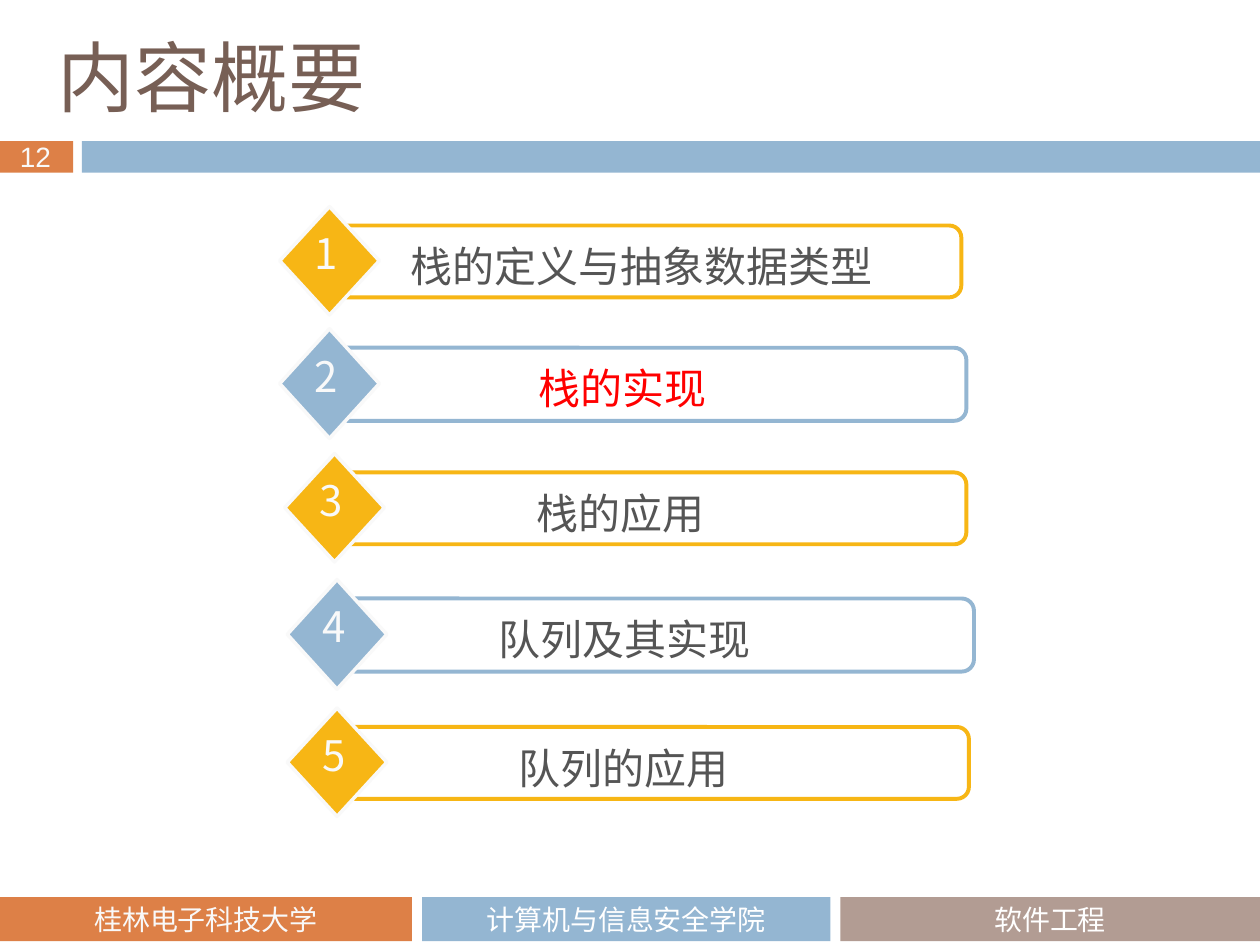
from dataclasses import dataclass

from lxml import etree
from pptx import Presentation
from pptx.dml.color import RGBColor
from pptx.enum.shapes import MSO_SHAPE
from pptx.enum.text import MSO_ANCHOR, MSO_AUTO_SIZE, PP_ALIGN
from pptx.oxml.ns import qn
from pptx.util import Inches, Pt

RECT, ROUND, DIAMOND = MSO_SHAPE.RECTANGLE, MSO_SHAPE.ROUNDED_RECTANGLE, MSO_SHAPE.DIAMOND
TOP, MIDDLE = MSO_ANCHOR.TOP, MSO_ANCHOR.MIDDLE
LEFT, CENTER = PP_ALIGN.LEFT, PP_ALIGN.CENTER
GROW, FIXED = MSO_AUTO_SIZE.SHAPE_TO_FIT_TEXT, MSO_AUTO_SIZE.NONE
COLS, ROWS = 100, 75  # slide grid


@dataclass(frozen=True)
class Theme:
    orange: str = "DD8047"
    blue: str = "94B6D2"
    taupe: str = "B29C93"
    gold: str = "F7B615"
    brown: str = "775F55"
    gray: str = "555555"
    red: str = "FF0000"
    white: str = "FFFFFF"
    pale: str = "F9F9F9"
    title_size: int = 44
    item_size: int = 24
    small_size: int = 16
    border: float = 2.25
    outline: float = 2


@dataclass(frozen=True)
class Box:
    """Position and size in grid columns and rows."""
    col: float
    row: float
    cols: float
    rows: float


@dataclass(frozen=True)
class Style:
    size: int
    font: str
    color: str
    align: PP_ALIGN = CENTER
    anchor: MSO_ANCHOR = TOP
    wrap: bool = True
    fit: MSO_AUTO_SIZE = FIXED


@dataclass(frozen=True)
class Item:
    text: str
    col: float
    row: float
    text_dx: float
    text_cols: float
    color: str


T = Theme()
SANS = "Noto Sans CJK SC"
TITLE = Style(T.title_size, "Noto Sans CJK JP", T.brown, LEFT, MIDDLE)
PAGE = Style(T.small_size, "Arial", T.pale, LEFT, wrap=False, fit=GROW)
NUMBER = Style(T.item_size, SANS, T.pale, wrap=False, fit=GROW)

BARS = [
    (Box(0, 11.2, 5.8, 2.5), T.orange),
    (Box(6.5, 11.2, 93.5, 2.5), T.blue),
]
FOOTER = [
    (Box(0, 71.2, 32.7, 3.5), T.orange, "桂林电子科技大学", T.pale),
    (Box(33.5, 71.2, 32.4, 3.5), T.blue, "计算机与信息安全学院", T.white),
    (Box(66.7, 71.2, 33.3, 3.5), T.taupe, "软件工程", T.white),
]
ITEMS = [
    Item("栈的定义与抽象数据类型", 22.2, 16.4, 7.4, 42.6, T.gray),
    Item("栈的实现", 22.2, 26.1, 9.8, 34.8, T.red),
    Item("栈的应用", 22.6, 36, 7, 39.3, T.gray),
    Item("队列及其实现", 22.8, 46, 7, 39.5, T.gray),
    Item("队列的应用", 22.8, 56.2, 7, 39.3, T.gray),
]

prs = Presentation()
prs.slide_width, prs.slide_height = Inches(10), Inches(7.5)


def place(box: Box) -> tuple[int, int, int, int]:
    dx, dy = prs.slide_width / COLS, prs.slide_height / ROWS
    return (round(box.col * dx), round(box.row * dy),
            round(box.cols * dx), round(box.rows * dy))


def write(sp, text: str, style: Style) -> None:
    tf = sp.text_frame
    frame = {"word_wrap": style.wrap, "auto_size": style.fit,
             "vertical_anchor": style.anchor}
    for name, value in frame.items():
        setattr(tf, name, value)
    p = tf.paragraphs[0]
    p.alignment = style.align
    r = p.add_run()
    r.text = text
    for name, value in {"size": Pt(style.size), "name": style.font}.items():
        setattr(r.font, name, value)
    r.font.color.rgb = RGBColor.from_string(style.color)
    # East Asian glyphs need their own typeface entry
    ea = etree.SubElement(r.font._element, qn("a:ea"))
    ea.set("typeface", style.font)


def add_text(shapes, box: Box, text: str, style: Style) -> None:
    write(shapes.add_textbox(*place(box)), text, style)


def add_shape(shapes, kind: MSO_SHAPE, box: Box, fill: str = "",
              line: str = "", width: float = 0):
    sp = shapes.add_shape(kind, *place(box))
    sp.shadow.inherit = False
    if fill:
        sp.fill.solid()
        sp.fill.fore_color.rgb = RGBColor.from_string(fill)
    else:
        sp.fill.background()
    if line:
        sp.line.color.rgb = RGBColor.from_string(line)
        sp.line.width = Pt(width)
    else:
        sp.line.fill.background()
    return sp


def add_item(shapes, number: int, item: Item) -> None:
    even = number % 2 == 0
    accent = T.blue if even else T.gold
    extra = 0.1 if even else 0
    x, y = item.col, item.row
    group = shapes.add_group_shape().shapes
    frame = Box(x + 4.4, y + 1.5, 50.1 if even else 49.7, 5.7 + extra)
    sp = add_shape(group, ROUND, frame, line=accent, width=T.border)
    sp.adjustments[0] = 0.167
    add_shape(group, DIAMOND, Box(x, y, 7.9, 8.6 + extra), accent, T.pale, T.outline)
    add_text(group, Box(x + item.text_dx, y + 2.2, item.text_cols, 5), item.text,
             Style(T.item_size, SANS, item.color, fit=GROW))
    add_text(group, Box(x + 1.8, y + 1.2, 3.7, 5), str(number), NUMBER)


def main() -> None:
    shapes = prs.slides.add_slide(prs.slide_layouts[6]).shapes

    # Header
    for box, color in BARS:
        add_shape(shapes, RECT, box, color)
    add_text(shapes, Box(0.6, 10.6, 4.8, 3.7), "12", PAGE)
    add_text(shapes, Box(3.6, 2.7, 56.7, 6.6), "内容概要", TITLE)

    # Footer
    for box, fill, text, color in FOOTER:
        sp = add_shape(shapes, RECT, box, fill)
        write(sp, text, Style(T.small_size, "Calibri", color, anchor=MIDDLE))

    # Numbered contents
    for number, item in enumerate(ITEMS, 1):
        add_item(shapes, number, item)

    prs.save("out.pptx")


if __name__ == "__main__":
    main()
